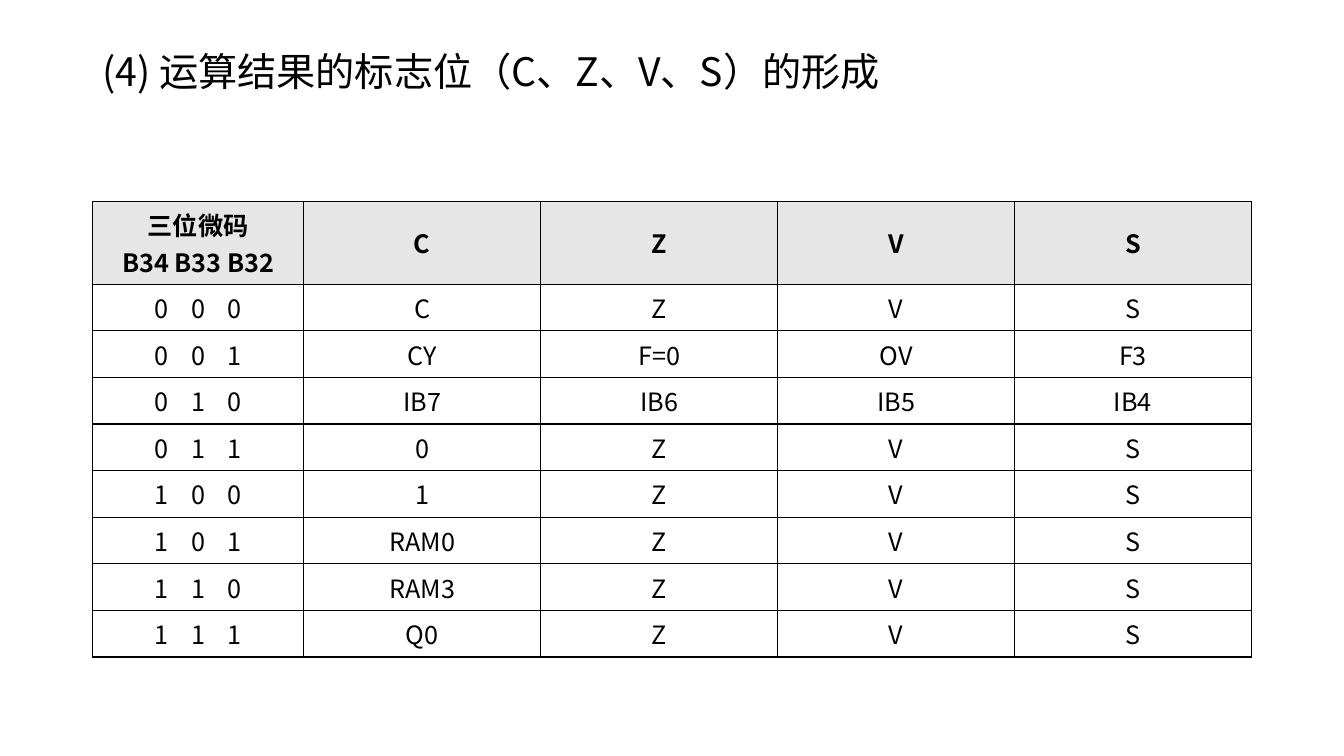
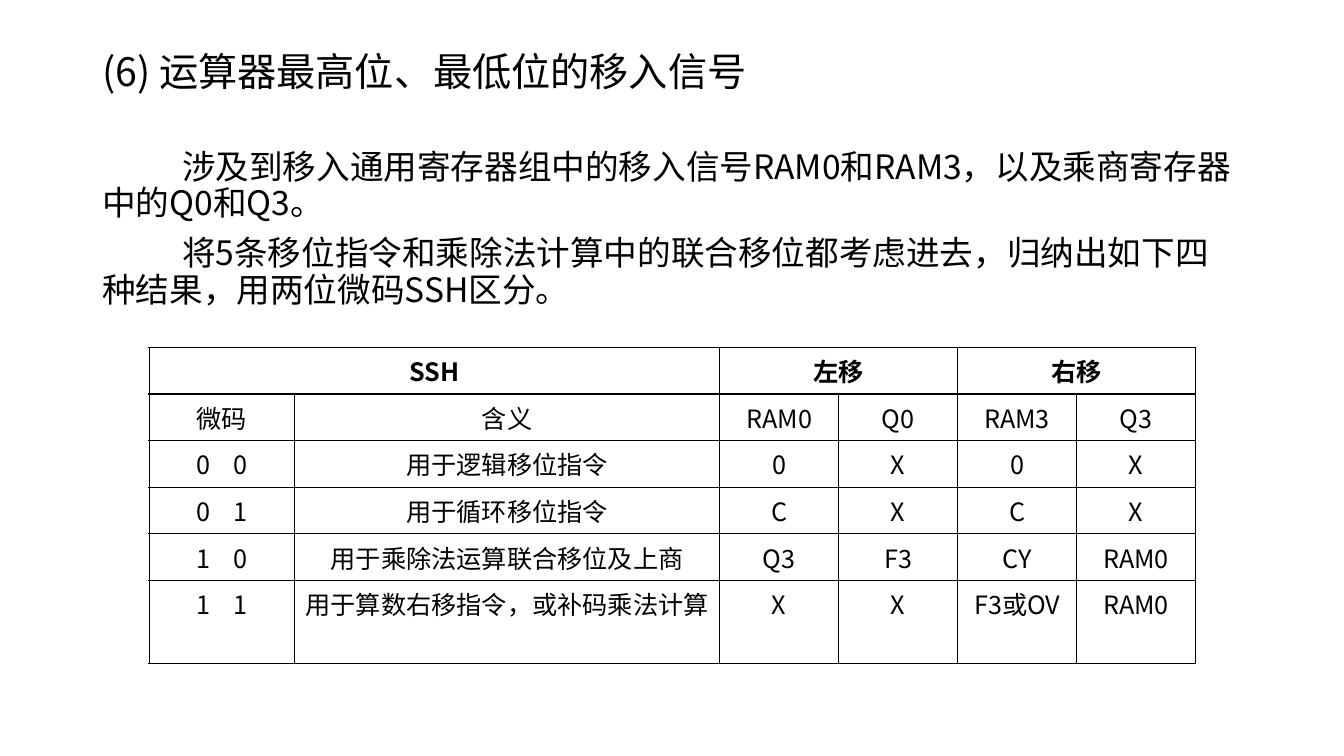
from lxml.etree import SubElement
from pptx import Presentation
from pptx.dml.color import RGBColor
from pptx.enum.text import MSO_ANCHOR as Anchor, PP_ALIGN as Align
from pptx.oxml.ns import qn
from pptx.util import Pt

BLACK = RGBColor(0x00, 0x00, 0x00)
WHITE = RGBColor(0xFF, 0xFF, 0xFF)
GREY = RGBColor(0xE7, 0xE6, 0xE6)

FONT = "Noto Sans CJK SC"
LEFT, WIDTH = 66, 828
LINE, PADDING = 26.1, 7.2  # height of one table text line, cell margins
BIT_SPACING = 6            # extra points after each character of a bit code

TITLE = {"line_spacing": 0.9}
BODY = {"line_spacing": 0.9, "space_before": Pt(10)}
CENTRED = {"alignment": Align.CENTER}

FLAG_ROWS = [
    ["三位微码\nB34 B33 B32", "C", "Z", "V", "S"],
    ["0 0 0", "C", "Z", "V", "S"],
    ["0 0 1", "CY", "F=0", "OV", "F3"],
    ["0 1 0", "IB7", "IB6", "IB5", "IB4"],
    ["0 1 1", "0", "Z", "V", "S"],
    ["1 0 0", "1", "Z", "V", "S"],
    ["1 0 1", "RAM0", "Z", "V", "S"],
    ["1 1 0", "RAM3", "Z", "V", "S"],
    ["1 1 1", "Q0", "Z", "V", "S"],
]
# None continues the cell to its left
SHIFT_ROWS = [
    ["SSH", None, "左移", None, "右移", None],
    ["微码", "含义", "RAM0", "Q0", "RAM3", "Q3"],
    ["0 0", "用于逻辑移位指令", "0", "X", "0", "X"],
    ["0 1", "用于循环移位指令", "C", "X", "C", "X"],
    ["1 0", "用于乘除法运算联合移位及上商", "Q3", "F3", "CY", "RAM0"],
    ["1 1", "用于算数右移指令，或补码乘法计算", "X", "X", "F3或OV", "RAM0"],
]


def set_all(obj, values):
    for name, value in values.items():
        setattr(obj, name, value)


def is_bit_code(text):
    return " " in text and set(text) <= set("01 ")


class Deck:
    def __init__(self):
        self.prs = Presentation()
        set_all(self.prs, {"slide_width": Pt(960), "slide_height": Pt(540)})
        self.s = None

    def slide(self, title):
        self.s = self.prs.slides.add_slide(self.prs.slide_layouts[6])
        self.text(title, 28.8, 47.5, 28, TITLE, anchor=Anchor.MIDDLE)

    def run(self, p, text, size, bold=False, spacing=0):
        r = p.add_run()
        r.text = text
        set_all(r.font, {"name": FONT, "size": Pt(size), "bold": bold})
        r.font.color.rgb = BLACK
        rPr = r._r.get_or_add_rPr()
        SubElement(rPr, qn("a:ea"), typeface=FONT)
        if spacing:
            rPr.set("spc", str(spacing * 100))

    def paragraphs(self, tf, text, size, style, bold=False, indent=0):
        for i, line in enumerate(text.split("\n")):
            p = tf.add_paragraph() if i else tf.paragraphs[0]
            set_all(p, style)
            if indent:
                p._p.get_or_add_pPr().set("indent", str(Pt(indent)))
            if is_bit_code(line):
                self.run(p, line[:-1], size, bold, BIT_SPACING)
                line = line[-1]
            self.run(p, line, size, bold)

    def text(self, text, top, height, size, style, anchor=Anchor.TOP, indent=0):
        sp = self.s.shapes.add_textbox(Pt(LEFT), Pt(top), Pt(WIDTH), Pt(height))
        tf = sp.text_frame
        set_all(tf, {"word_wrap": True, "vertical_anchor": anchor})
        self.paragraphs(tf, text, size, style, indent=indent)

    def border(self, cell):
        tcPr = cell._tc.get_or_add_tcPr()
        for side in ("lnL", "lnR", "lnT", "lnB"):
            ln = SubElement(tcPr, qn(f"a:{side}"), w=str(Pt(1)))
            fill = SubElement(ln, qn("a:solidFill"))
            SubElement(fill, qn("a:srgbClr"), val=str(BLACK))

    def table(self, rows, left, top, widths, lines, header_fill=WHITE):
        """Draw a bordered table; lines gives the text lines in each row."""
        heights = [n * LINE + PADDING for n in lines]
        frame = self.s.shapes.add_table(len(rows), len(widths), Pt(left), Pt(top),
                                        Pt(sum(widths)), Pt(sum(heights)))
        table = frame.table
        set_all(table, {"first_row": False, "horz_banding": False})
        for column, width in zip(table.columns, widths):
            column.width = Pt(width)
        for i, (row, height) in enumerate(zip(rows, heights)):
            table.rows[i].height = Pt(height)
            header = i == 0
            for j, text in enumerate(row):
                cell = table.cell(i, j)
                self.border(cell)
                cell.fill.solid()
                cell.fill.fore_color.rgb = header_fill if header else WHITE
                cell.vertical_anchor = Anchor.MIDDLE if header else Anchor.TOP
                if text is None:
                    table.cell(i, j - 1).merge(cell)
                else:
                    self.paragraphs(cell.text_frame, text, 18, CENTRED, bold=header)


def main():
    deck = Deck()

    deck.slide("(4) 运算结果的标志位（C、Z、V、S）的形成")
    deck.table(FLAG_ROWS, LEFT, 143.7, [151] + [169.25] * 4, [2] + [1] * 8, GREY)

    deck.slide("(6) 运算器最高位、最低位的移入信号")
    deck.text("涉及到移入通用寄存器组中的移入信号RAM0和RAM3，以及乘商寄存器中的Q0和Q3。\n"
              "将5条移位指令和乘除法计算中的联合移位都考虑进去，归纳出如下四种结果，"
              "用两位微码SSH区分。", 103.7, 130.3, 24, BODY, indent=57)
    deck.table(SHIFT_ROWS, 106.5, 248.2, [104, 303.6] + [85] * 4, [1] * 5 + [2])

    deck.prs.save("out.pptx")


if __name__ == "__main__":
    main()
